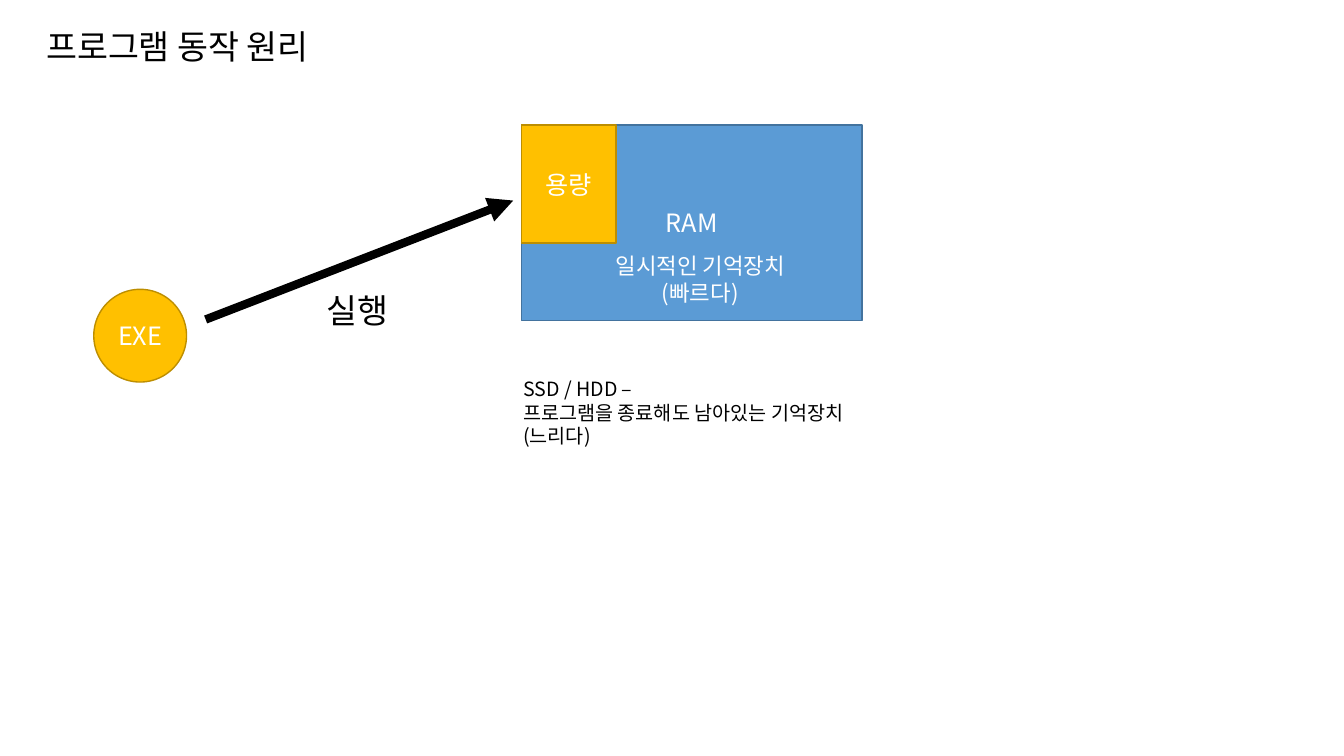
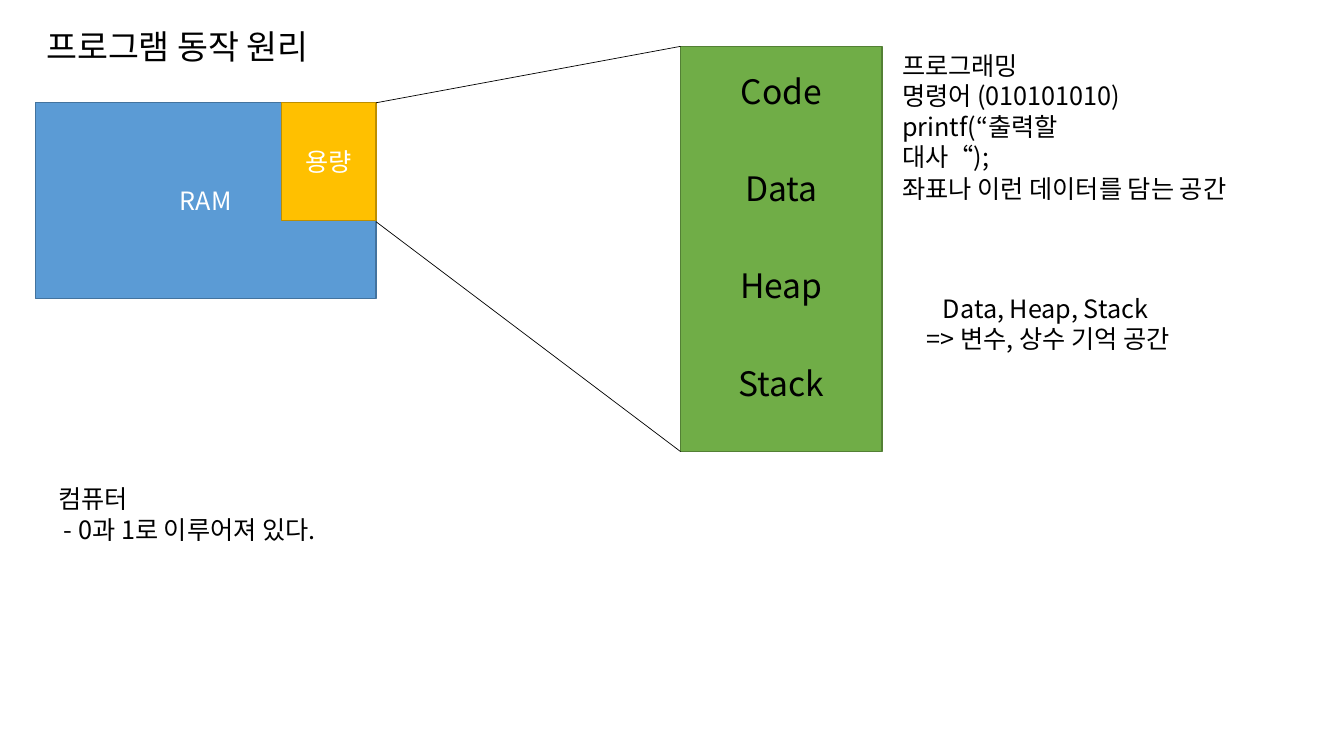
from lxml import etree
from pptx import Presentation
from pptx.dml.color import RGBColor
from pptx.enum.shapes import MSO_CONNECTOR, MSO_SHAPE
from pptx.enum.text import MSO_ANCHOR, MSO_AUTO_SIZE, PP_ALIGN
from pptx.oxml.ns import qn
from pptx.util import Inches, Pt

LEFT, CENTER = PP_ALIGN.LEFT, PP_ALIGN.CENTER
RECT, OVAL = MSO_SHAPE.RECTANGLE, MSO_SHAPE.OVAL
FONT = "Noto Sans CJK KR"
COLORS = {
    "black": "000000", "white": "FFFFFF",
    "blue": "5B9BD5", "blue_edge": "43739E",
    "gold": "FFC000", "gold_edge": "BD8E00",
    "green": "70AD47", "green_edge": "538035",
}
RGB = {name: RGBColor.from_string(value) for name, value in COLORS.items()}


def write(frame, text, size, color, align):
    """Fill a text frame, one paragraph per line, in the Latin and Korean font."""
    frame.text = text
    for paragraph in frame.paragraphs:
        paragraph.alignment = align
        paragraph.font.size = Pt(size)
        paragraph.font.color.rgb = RGB[color]
        paragraph.font.name = FONT
        defaults = paragraph._p.pPr.find(qn("a:defRPr"))
        etree.SubElement(defaults, qn("a:ea"), typeface=FONT)


def add_block(slide, kind, box, color, label=""):
    block = slide.shapes.add_shape(kind, *map(Inches, box))
    block.shadow.inherit = False
    block.fill.solid()
    block.fill.fore_color.rgb = RGB[color]
    block.line.color.rgb = RGB[color + "_edge"]
    block.line.width = Pt(1)
    if label:
        block.text_frame.vertical_anchor = MSO_ANCHOR.MIDDLE
        write(block.text_frame, label, 18, "white", CENTER)


prs = Presentation()
prs.slide_width, prs.slide_height = Inches(13.33), Inches(7.5)
loading, memory = [prs.slides.add_slide(prs.slide_layouts[6]) for _ in range(2)]

# RAM with the part a program takes up
RAM_W, RAM_H = 3.38, 1.94
USED_W, USED_H = 0.94, 1.17
for slide, left, top, used_left in [
    (loading, 5.17, 1.24, 5.17),
    (memory, 0.35, 1.02, 0.35 + RAM_W - USED_W),
]:
    add_block(slide, RECT, (left, top, RAM_W, RAM_H), "blue", "RAM")
    add_block(slide, RECT, (used_left, top, USED_W, USED_H), "gold", "용량")

add_block(loading, OVAL, (0.93, 2.87, 0.92, 0.92), "gold", "EXE")

# Memory areas of the program
AREA_LEFT, AREA_TOP, AREA_W, AREA_H = 6.75, 0.46, 2, 4.02
add_block(memory, RECT, (AREA_LEFT, AREA_TOP, AREA_W, AREA_H), "green")
area_labels = [
    (memory, (AREA_LEFT, 0.65 + 0.967 * row, AREA_W, 0.5), area, 24, "black", CENTER, True)
    for row, area in enumerate(["Code", "Data", "Heap", "Stack"])
]

# Execution arrow and the zoom lines from RAM to the memory areas
for slide, ends, width, arrow in [
    (loading, (2.04, 3.17, 5.09, 1.99), 6, True),
    (memory, (3.73, 1.02, AREA_LEFT, AREA_TOP), 0.5, False),
    (memory, (3.73, 2.2, AREA_LEFT, AREA_TOP + AREA_H), 0.5, False),
]:
    line = slide.shapes.add_connector(MSO_CONNECTOR.STRAIGHT, *map(Inches, ends))
    line.line.color.rgb = RGB["black"]
    line.line.width = Pt(width)
    if arrow:
        etree.SubElement(line.line._get_or_add_ln(), qn("a:tailEnd"), type="triangle")
    etree.SubElement(line._element.spPr, qn("a:effectLst"))

titles = [
    (slide, (0.36, 0.21, 2.98, 0.5), "프로그램 동작 원리", 24, "black", LEFT, False)
    for slide in (loading, memory)
]
notes = [
    (loading, (3.14, 2.83, 0.85, 0.5), "실행", 24, "black", LEFT, False),
    (loading, (5.95, 2.45, 1.99, 0.64), "일시적인 기억장치\n(빠르다)",
     16, "white", CENTER, False),
    (loading, (5.09, 3.69, 3.59, 0.81),
     "SSD / HDD –\n프로그램을 종료해도 남아있는 기억장치\n(느리다)",
     14, "black", LEFT, False),
    (memory, (8.85, 0.45, 2.57, 1.01),
     "프로그래밍\n명령어 (010101010)\nprintf(“출력할 대사“);",
     18, "black", LEFT, True),
    (memory, (8.85, 1.67, 3.84, 0.4), "좌표나 이런 데이터를 담는 공간",
     18, "black", LEFT, False),
    (memory, (0.48, 4.75, 3.01, 0.71), "컴퓨터\n - 0과 1로 이루어져 있다.",
     18, "black", LEFT, False),
    (memory, (8.93, 2.86, 2.88, 0.71), "Data, Heap, Stack\n => 변수, 상수 기억 공간",
     18, "black", CENTER, False),
]
for slide, box, text, size, color, align, wrap in titles + area_labels + notes:
    frame = slide.shapes.add_textbox(*map(Inches, box)).text_frame
    frame.word_wrap = wrap
    frame.auto_size = MSO_AUTO_SIZE.SHAPE_TO_FIT_TEXT
    write(frame, text, size, color, align)

prs.save("out.pptx")
